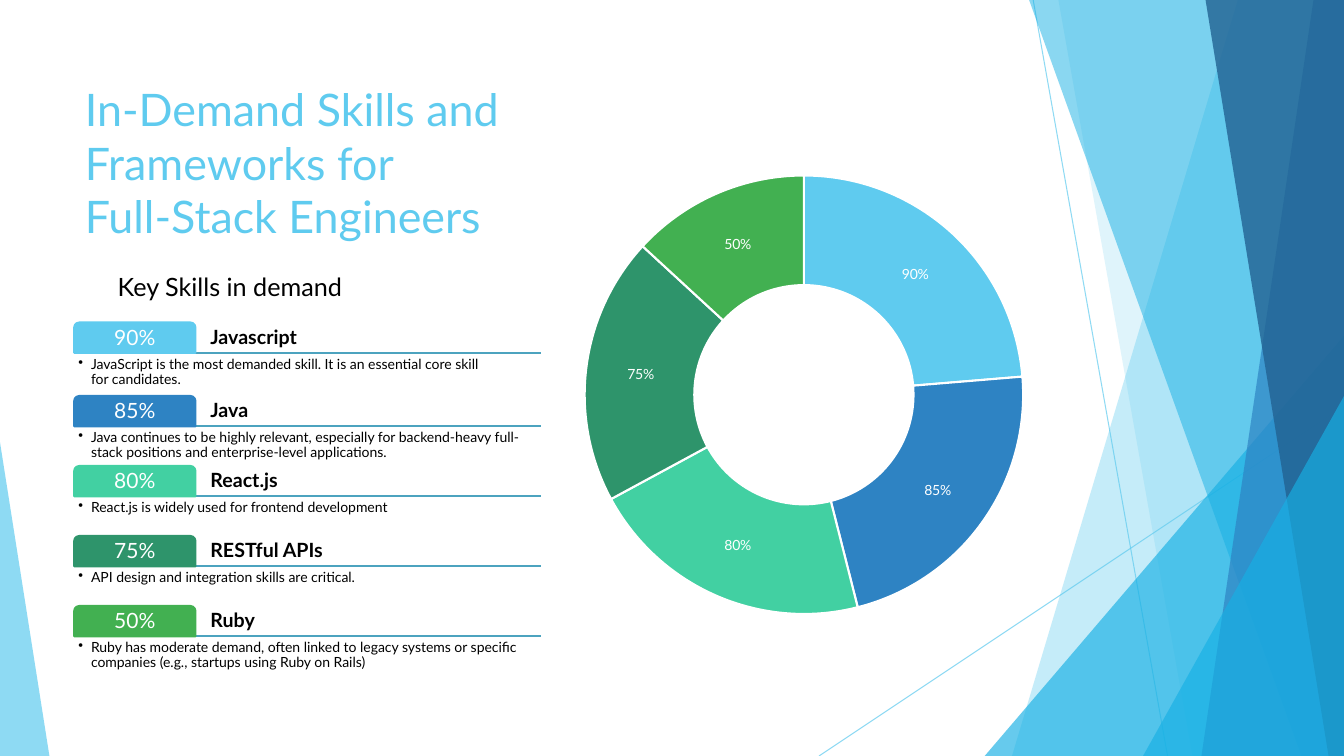
from lxml.etree import SubElement
from pptx import Presentation
from pptx.chart.data import CategoryChartData
from pptx.dml.color import RGBColor
from pptx.enum.chart import XL_CHART_TYPE as ChartType
from pptx.enum.shapes import MSO_CONNECTOR as Connector, MSO_SHAPE as Preset
from pptx.enum.text import MSO_ANCHOR as Anchor, PP_ALIGN as Align
from pptx.oxml import parse_xml
from pptx.oxml.ns import nsdecls, qn
from pptx.util import Pt

WIDTH, HEIGHT = 960, 540
FONT = "Lato"
SKY, AQUA, BLUE, NAVY = "5FCBEF", "17B0E4", "2E83C3", "226292"
BLACK, WHITE, RULE = "000000", "FFFFFF", "4CA3BF"

# Rule height, percentage, colour, skill, description
SKILLS = [
    (252, 90, SKY, "Javascript",
     "JavaScript is the most demanded skill. It is an essential core skill\vfor candidates."),
    (304.5, 85, BLUE, "Java",
     "Java continues to be highly relevant, especially for backend-heavy "
     "full-stack positions and enterprise-level applications."),
    (354.5, 80, "42D0A2", "React.js", "React.js is widely used for frontend development"),
    (404.5, 75, "2E946B", "RESTful APIs", "API design and integration skills are critical."),
    (454.5, 50, "42B051", "Ruby",
     "Ruby has moderate demand, often linked to legacy systems or specific "
     "companies (e.g., startups using Ruby on Rails)"),
]

# Facets from back to front: bands reach the right edge, triangles the bottom
FACETS = [
    ("band", 884.2, 722.9, SKY, 36),
    ("band", 756, 851.8, SKY, 20),
    ("triangle", 703.4, 239.8, AQUA, 66),
    ("band", 735.1, 929.5, AQUA, 50),
    ("band", 938.2, 858.2, BLUE, 70),
    ("band", 861.1, 949, NAVY, 80),
    ("triangle", 816.5, 283, AQUA, 66),
]


def color(value):
    return RGBColor.from_string(value)


def set_opacity(shape, percent):
    for item in shape.element.spPr.iter(qn("a:srgbClr")):
        SubElement(item, qn("a:alpha")).set("val", str(percent * 1000))


def paint(shape, fill, opacity=None):
    shape.shadow.inherit = False
    shape.fill.solid()
    shape.fill.fore_color.rgb = color(fill)
    shape.line.fill.background()
    if opacity:
        set_opacity(shape, opacity)


def add_line(slide, start, end, line_color, weight):
    line = slide.shapes.add_connector(Connector.STRAIGHT, *map(Pt, start + end))
    line.line.color.rgb = color(line_color)
    line.line.width = Pt(weight)
    SubElement(line.element.spPr, qn("a:effectLst"))
    return line


def write(shape, text, size, text_color, anchor=Anchor.TOP, bold=False, inset=None, spacing=None):
    frame = shape.text_frame
    frame.word_wrap = True
    frame.vertical_anchor = anchor
    if inset is not None:
        frame.margin_left = frame.margin_right = Pt(inset)
        frame.margin_top = frame.margin_bottom = Pt(inset)
    paragraph = frame.paragraphs[0]
    paragraph.text = text
    font = paragraph.font
    font.name, font.size, font.bold = FONT, Pt(size), bold
    font.color.rgb = color(text_color)
    if spacing:
        paragraph.line_spacing = spacing
    return paragraph


def add_text(slide, left, top, width, height, *args, **options):
    box = slide.shapes.add_textbox(Pt(left), Pt(top), Pt(width), Pt(height))
    return write(box, *args, **options)


def add_triangle(slide, left, top, width, apex, fill, opacity):
    triangle = slide.shapes.add_shape(
        Preset.ISOSCELES_TRIANGLE, Pt(left), Pt(top), Pt(width), Pt(HEIGHT - top))
    triangle.adjustments[0] = apex
    paint(triangle, fill, opacity)


def add_band(slide, top_x, bottom_x, fill, opacity):
    builder = slide.shapes.build_freeform(Pt(top_x), 0)
    corners = [(WIDTH, 0), (WIDTH, HEIGHT), (bottom_x, HEIGHT)]
    builder.add_line_segments([(Pt(x), Pt(y)) for x, y in corners])
    paint(builder.convert_to_shape(), fill, opacity)


def add_background(slide):
    # Thin crossing lines
    for start, end in [((738, 0), (834, HEIGHT)), ((WIDTH, 290), (585, HEIGHT))]:
        set_opacity(add_line(slide, start, end, SKY, 0.75), 70)
    # Translucent facets
    for kind, first, second, fill, opacity in FACETS:
        if kind == "band":
            add_band(slide, first, second, fill, opacity)
        else:
            add_triangle(slide, first, second, WIDTH - first, 1, fill, opacity)
    add_triangle(slide, 0, 316, 35.3, 0, SKY, 70)


def add_chart(slide, left, top, width, height):
    data = CategoryChartData(number_format='0"%"')
    data.categories = [str(number) for number in range(1, len(SKILLS) + 1)]
    data.add_series("Series 1", [skill[1] for skill in SKILLS])
    chart = slide.shapes.add_chart(
        ChartType.DOUGHNUT, Pt(left), Pt(top), Pt(width), Pt(height), data).chart
    chart.has_legend = chart.has_title = False
    chart.font.name, chart.font.size = FONT, Pt(10)
    chart.font.color.rgb = color(BLACK)

    # Ring slices
    plot = chart.plots[0]
    plot.vary_by_categories = True
    for index, (_, _, fill, _, _) in enumerate(SKILLS):
        slice_format = plot.series[0].points[index].format
        slice_format.fill.solid()
        slice_format.fill.fore_color.rgb = color(fill)
        slice_format.line.color.rgb = color(WHITE)
        slice_format.line.width = Pt(1.5)

    # Labels
    plot.has_data_labels = True
    labels = plot.data_labels
    labels.show_value, labels.show_percentage = True, False
    labels.number_format, labels.number_format_is_linked = '0"%"', False
    labels.font.name, labels.font.size = FONT, Pt(10)
    labels.font.color.rgb = color(WHITE)

    # Ring size within the chart area
    area = chart.element.find(".//" + qn("c:plotArea"))
    for layout in area.findall(qn("c:layout")):
        area.remove(layout)
    area.insert(0, parse_xml(
        f'<c:layout {nsdecls("c")}><c:manualLayout><c:layoutTarget val="inner"/>'
        '<c:xMode val="edge"/><c:yMode val="edge"/><c:x val="0.03"/><c:y val="0.046"/>'
        '<c:w val="0.94"/><c:h val="0.908"/></c:manualLayout></c:layout>'))
    area.find(".//" + qn("c:holeSize")).set("val", "50")


def add_skill(slide, left, rule_y, width, percent, fill, name, description):
    tab_width, tab_height, name_indent = 86.6, 21.6, 94.3
    add_line(slide, (left, rule_y), (left + width, rule_y), RULE, 1.5)
    add_text(slide, left + name_indent, rule_y - tab_height, width - name_indent, tab_height,
             name, 14, BLACK, Anchor.BOTTOM, bold=True, inset=3, spacing=0.9)

    # Percentage tab
    tab = slide.shapes.add_shape(Preset.ROUND_2_SAME_RECTANGLE, Pt(left),
                                 Pt(rule_y - tab_height), Pt(tab_width), Pt(tab_height))
    paint(tab, fill)
    tab.line.color.rgb = color(fill)
    tab.line.width = Pt(1.5)
    label = write(tab, f"{percent}%", 15, WHITE, Anchor.MIDDLE, inset=3, spacing=0.9)
    label.alignment = Align.CENTER

    # Bulleted description
    bullet = add_text(slide, left, rule_y, width, 28.5, description, 10, BLACK,
                      inset=3, spacing=0.9)
    properties = bullet._p.get_or_add_pPr()
    properties.set("marL", str(Pt(9)))
    properties.set("indent", str(Pt(-9)))
    mark = parse_xml(f'<a:buChar {nsdecls("a")} char="•"/>')
    properties.find(qn("a:defRPr")).addprevious(mark)


def main():
    presentation = Presentation()
    presentation.slide_width, presentation.slide_height = Pt(WIDTH), Pt(HEIGHT)
    slide = presentation.slides.add_slide(presentation.slide_layouts[6])
    add_background(slide)
    add_text(slide, 53.5, 54.7, 394, 118,
             "In-Demand Skills and Frameworks for\vFull-Stack Engineers", 32, SKY)
    add_chart(slide, 407.5, 109.5, 333.5, 345)
    add_text(slide, 77, 190, 183, 29, "Key Skills in demand", 18, BLACK)
    for rule_y, *details in SKILLS:
        add_skill(slide, 53, rule_y, 333.5, *details)
    presentation.save("out.pptx")


if __name__ == "__main__":
    main()
